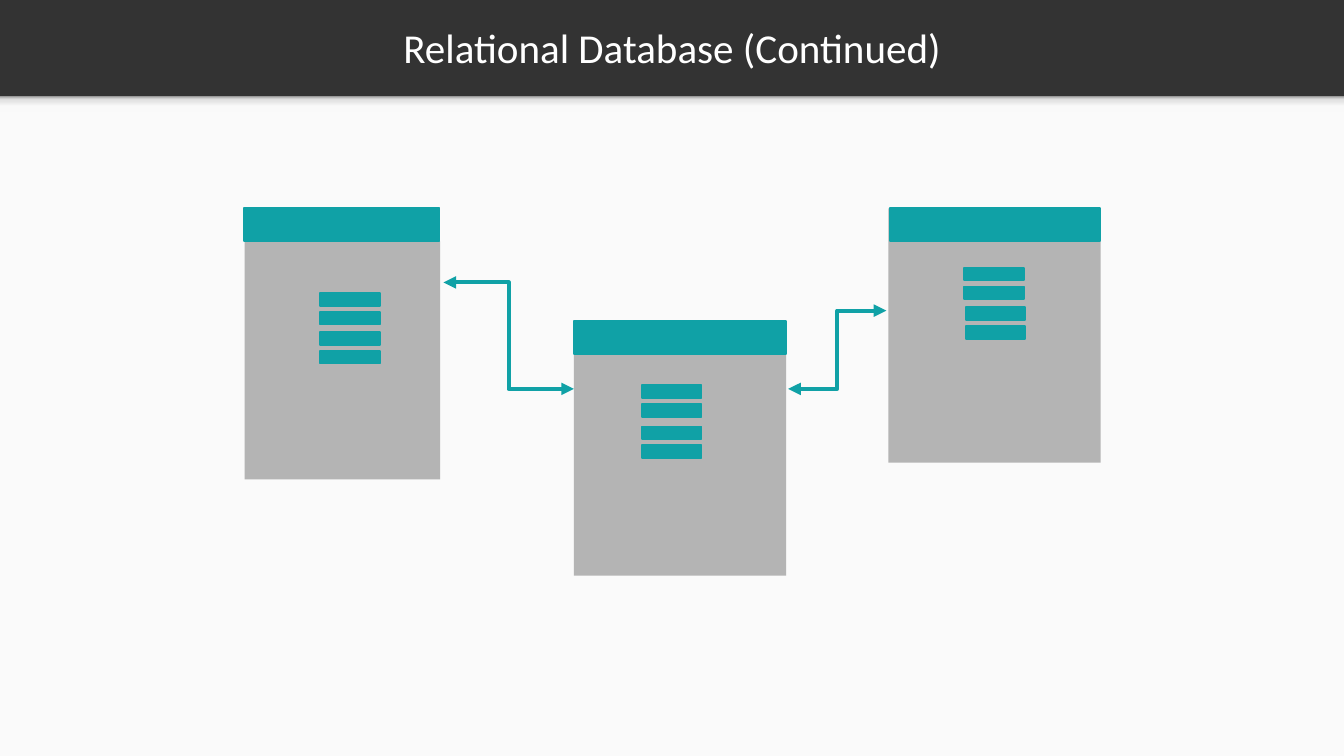
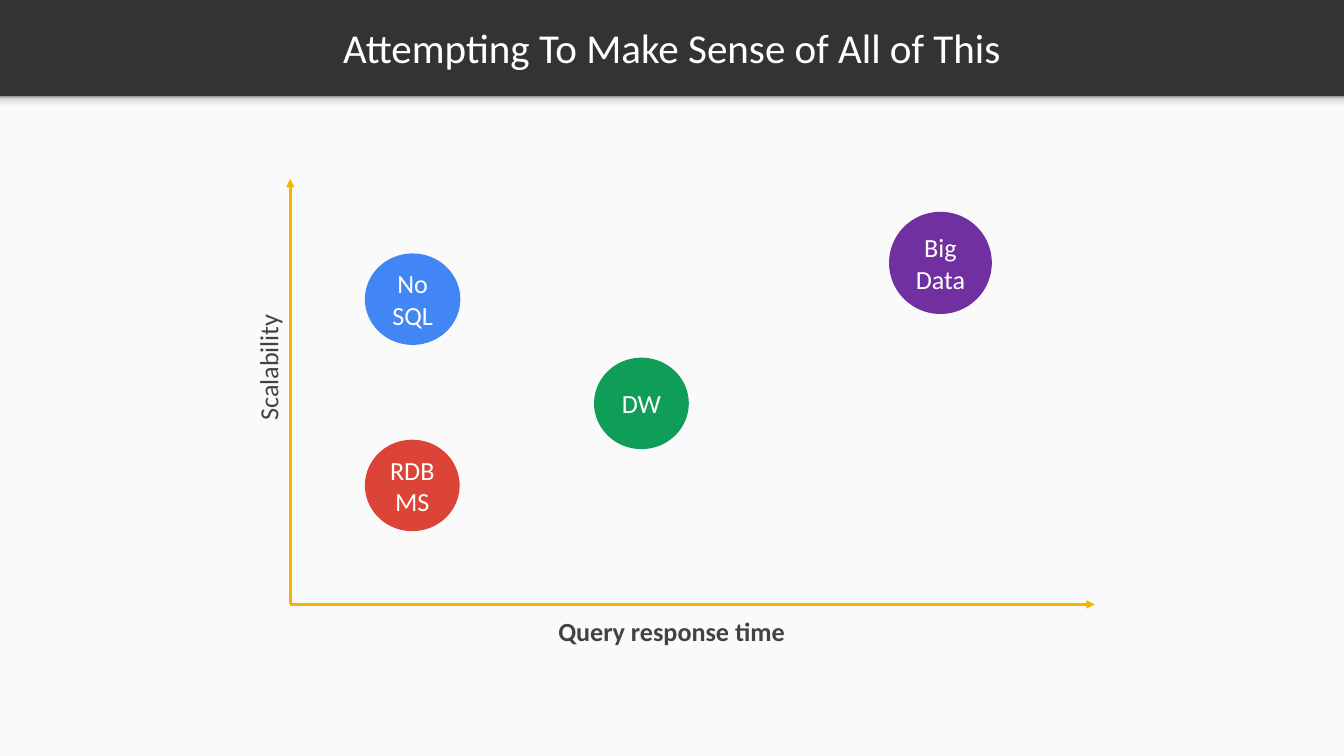
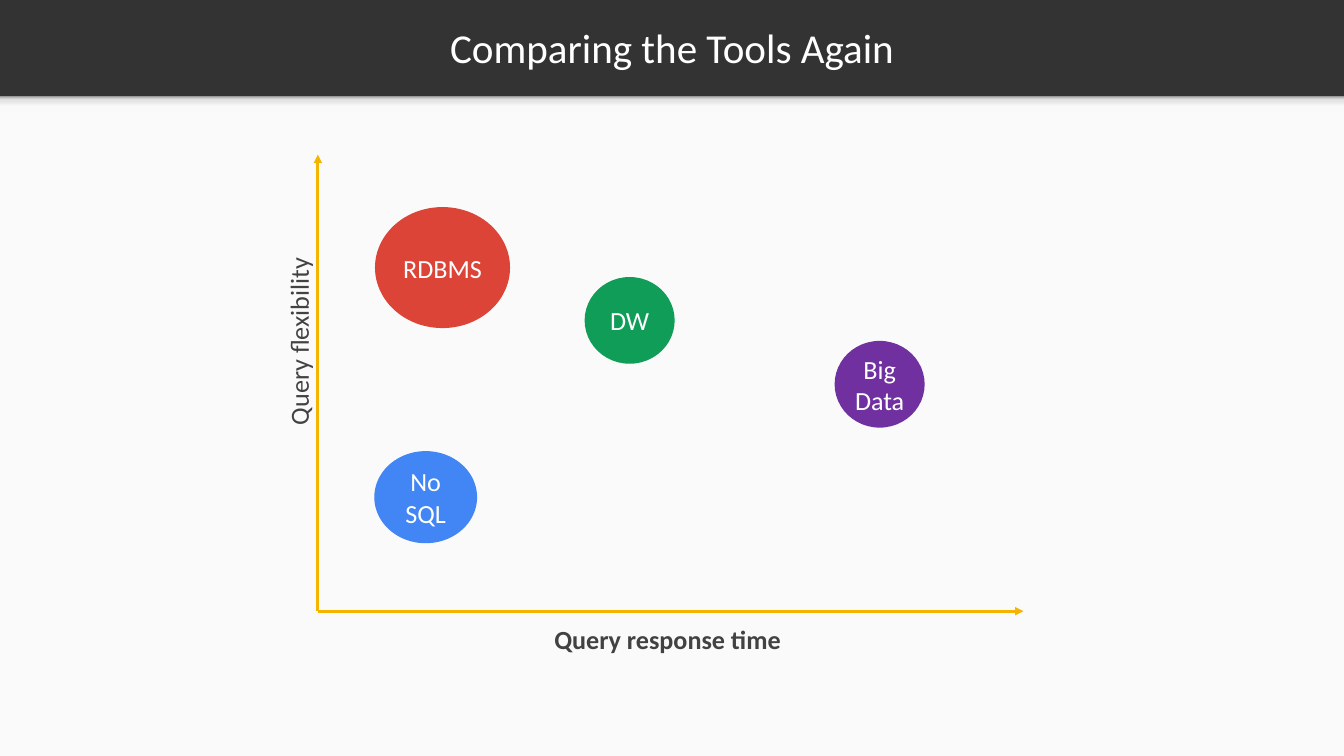
from dataclasses import dataclass
from typing import NamedTuple

import pptx
import pptx.dml.color
import pptx.enum.shapes
import pptx.enum.text
import pptx.oxml
import pptx.oxml.ns
import pptx.util
from lxml import etree

RGBColor = pptx.dml.color.RGBColor
Shape = pptx.enum.shapes.MSO_SHAPE
Connector = pptx.enum.shapes.MSO_CONNECTOR
Align = pptx.enum.text.PP_ALIGN
Anchor = pptx.enum.text.MSO_ANCHOR
AutoSize = pptx.enum.text.MSO_AUTO_SIZE
qn = pptx.oxml.ns.qn

# Square grid: 100 columns by 56.22 rows
COLUMNS, ROWS = 100, 56.22
CELL = pptx.util.Inches(0.2)

FONT = "Calibri"
WHITE = RGBColor(0xFF, 0xFF, 0xFF)
CHARCOAL = RGBColor(0x33, 0x33, 0x33)
PAPER = RGBColor(0xFA, 0xFA, 0xFA)
INK = RGBColor(0x42, 0x42, 0x42)
GRAY = RGBColor(0x88, 0x88, 0x88)
TEAL = RGBColor(0x10, 0xA1, 0xA6)
AMBER = RGBColor(0xF4, 0xB4, 0x00)
RED = RGBColor(0xDB, 0x44, 0x37)
BLUE = RGBColor(0x42, 0x85, 0xF4)
GREEN = RGBColor(0x0F, 0x9D, 0x58)
PURPLE = RGBColor(0x70, 0x30, 0xA0)
SHADE_STOPS = ((0, RGBColor(0xF9, 0xF9, 0xF9)), (36, RGBColor(0xF9, 0xF9, 0xF9)),
               (80, RGBColor(0xDE, 0xDE, 0xDE)), (100, RGBColor(0x99, 0x99, 0x99)))


class Point(NamedTuple):
    column: float
    row: float


class Box(NamedTuple):
    column: float
    row: float
    width: float
    height: float


@dataclass(frozen=True)
class TableCard:
    body: Box
    header: Box
    row_pairs: tuple[Point, ...]


@dataclass(frozen=True)
class Bubble:
    label: str
    color: RGBColor
    box: Box


@dataclass(frozen=True)
class Plot:
    title: str
    origin: Point
    right: float
    top: float
    across_label: Box
    up_label: Box
    up_text: str
    bubbles: tuple[Bubble, ...]


TITLE_BOX = Box(1.15, 0.2, 97.75, 6.6)
ROW_PAIR_SIZE = (6.05, 3.95)

CARDS = (
    TableCard(Box(18.2, 17.95, 14.55, 17.7), Box(18.15, 15.5, 14.55, 2.45),
              (Point(23, 21), Point(23, 23.9))),
    TableCard(Box(42.7, 23.9, 15.8, 18.9), Box(42.7, 23.9, 15.8, 2.45),
              (Point(46.95, 27.85), Point(46.95, 30.9))),
    TableCard(Box(66.1, 15.5, 15.8, 18.9), Box(66.25, 15.5, 15.6, 2.45),
              (Point(70.95, 19.1), Point(71.05, 22.05))),
)
RELATIONS = ((Point(33, 21), Point(42.7, 28.92)),
             (Point(58.65, 28.92), Point(65.95, 23.1)))

PLOTS = (
    Plot("Attempting To Make Sense of All of This", Point(21.6, 44.95), 81.45, 13.3,
         Box(41.05, 45.55, 21.6, 2.85), Box(10.4, 20.8, 19.1, 2.85), "Scalability",
         (Bubble("RDBMS", RED, Box(27.15, 32.7, 7.05, 6.8)),
          Bubble("No SQL", BLUE, Box(27.15, 18.85, 7.1, 6.8)),
          Bubble("DW", GREEN, Box(44.2, 26.6, 7.05, 6.8)),
          Bubble("Big Data", PURPLE, Box(66.15, 15.75, 7.65, 7.6)))),
    Plot("Comparing the Tools Again", Point(23.65, 45.45), 76.15, 11.5,
         Box(40.75, 46.1, 18.9, 2.85), Box(12.2, 20.65, 20.05, 2.85), "Query flexibility",
         (Bubble("RDBMS", RED, Box(27.9, 15.4, 10.05, 9)),
          Bubble("No SQL", BLUE, Box(27.85, 33.55, 7.65, 6.85)),
          Bubble("DW", GREEN, Box(43.5, 20.6, 6.7, 6.45)),
          Bubble("Big Data", PURPLE, Box(62.1, 25.35, 6.7, 6.45)))),
)


def cells(*counts: float) -> list[int]:
    """Turn grid counts into lengths."""
    return [round(count * CELL) for count in counts]


def write(shape, text: str, *, size: float = 28, color: RGBColor = WHITE,
          bold: bool = False, align=Align.CENTER, anchor=Anchor.MIDDLE) -> None:
    frame = shape.text_frame
    frame.word_wrap = True
    frame.vertical_anchor = anchor
    paragraph = frame.paragraphs[0]
    paragraph.alignment = align
    run = paragraph.add_run()
    run.text = text
    run.font.name = FONT
    run.font.size = pptx.util.Pt(size)
    run.font.bold = bold
    run.font.color.rgb = color


def add_shape(slide, kind, box: Box, fill: RGBColor, *, outline: RGBColor | None = None,
              opacity: int = 100):
    shape = slide.shapes.add_shape(kind, *cells(*box))
    shape.shadow.inherit = False
    shape.fill.solid()
    shape.fill.fore_color.rgb = fill
    if opacity < 100:
        color = shape.element.spPr.find(".//" + qn("a:srgbClr"))
        etree.SubElement(color, qn("a:alpha"), val=str(opacity * 1000))
    if outline is None:
        shape.line.fill.background()
    else:
        shape.line.color.rgb = outline
        shape.line.width = pptx.util.Pt(2)
    return shape


def add_arrow(slide, kind, start: Point, end: Point, color: RGBColor, width: float,
              *, both_ends: bool = False) -> None:
    arrow = slide.shapes.add_connector(kind, *cells(*start, *end))
    arrow.line.color.rgb = color
    arrow.line.width = pptx.util.Pt(width)
    properties = arrow.element.spPr
    line = properties.find(qn("a:ln"))
    for tag in ("a:headEnd", "a:tailEnd") if both_ends else ("a:tailEnd",):
        etree.SubElement(line, qn(tag), type="triangle")
    etree.SubElement(properties, qn("a:effectLst"))


def add_caption(slide, box: Box, text: str, *, bold: bool = False, rotation: float = 0) -> None:
    caption = slide.shapes.add_textbox(*cells(*box))
    caption.rotation = rotation
    caption.text_frame.auto_size = AutoSize.SHAPE_TO_FIT_TEXT
    write(caption, text, color=INK, bold=bold, align=Align.LEFT, anchor=Anchor.TOP)


def add_titled_slide(presentation, layout, title: str):
    slide = presentation.slides.add_slide(layout)
    shape = slide.shapes.title
    shape.left, shape.top, shape.width, shape.height = cells(*TITLE_BOX)
    frame = shape.text_frame
    frame.auto_size = AutoSize.NONE
    frame.margin_left = frame.margin_right = frame.margin_top = frame.margin_bottom = CELL
    write(shape, title, size=44)
    return slide


def decorate_layout(layout, slide) -> None:
    """Draw the page panel and the shade under the title band, then move them to the layout."""
    layout.background.fill.solid()
    layout.background.fill.fore_color.rgb = CHARCOAL
    panel = add_shape(slide, Shape.RECTANGLE, Box(0, 7.2, COLUMNS, ROWS - 7.2), PAPER)
    shade = add_shape(slide, Shape.RECTANGLE, Box(0, 7.15, COLUMNS, 1.2), PAPER)
    shade.fill.gradient()
    shade.fill.gradient_angle = 90
    stops = shade.element.spPr.find(".//" + qn("a:gsLst"))
    for stop in list(stops):
        stops.remove(stop)
    for position, color in SHADE_STOPS:
        stop = etree.SubElement(stops, qn("a:gs"), pos=str(position * 1000))
        etree.SubElement(stop, qn("a:srgbClr"), val=str(color))
    for shape in (shade, panel):
        layout.shapes.element.insert(2, shape.element)


def draw_relations(slide) -> None:
    for card in CARDS:
        add_shape(slide, Shape.FLOWCHART_PROCESS, card.body, GRAY, opacity=61)
    for start, end in RELATIONS:
        add_arrow(slide, Connector.ELBOW, start, end, TEAL, 4.5, both_ends=True)
    for card in CARDS:
        for corner in card.row_pairs:
            add_shape(slide, Shape.MATH_EQUAL, Box(*corner, *ROW_PAIR_SIZE), TEAL, outline=TEAL)
    for card in CARDS:
        add_shape(slide, Shape.RECTANGLE, card.header, TEAL, outline=TEAL)


def draw_plot(slide, plot: Plot) -> None:
    for end in (Point(plot.right, plot.origin.row), Point(plot.origin.column, plot.top)):
        add_arrow(slide, Connector.STRAIGHT, plot.origin, end, AMBER, 3)
    add_caption(slide, plot.across_label, "Query response time", bold=True)
    add_caption(slide, plot.up_label, plot.up_text, rotation=270)
    for bubble in plot.bubbles:
        write(add_shape(slide, Shape.OVAL, bubble.box, bubble.color), bubble.label)


def main() -> None:
    presentation = pptx.Presentation()
    presentation.slide_width, presentation.slide_height = cells(COLUMNS, ROWS)
    layout = presentation.slide_layouts.get_by_name("Title Only")

    # Linked tables
    slide = add_titled_slide(presentation, layout, "Relational Database (Continued)")
    decorate_layout(layout, slide)
    draw_relations(slide)

    # Tool comparisons
    for plot in PLOTS:
        draw_plot(add_titled_slide(presentation, layout, plot.title), plot)

    presentation.save("out.pptx")


if __name__ == "__main__":
    main()
